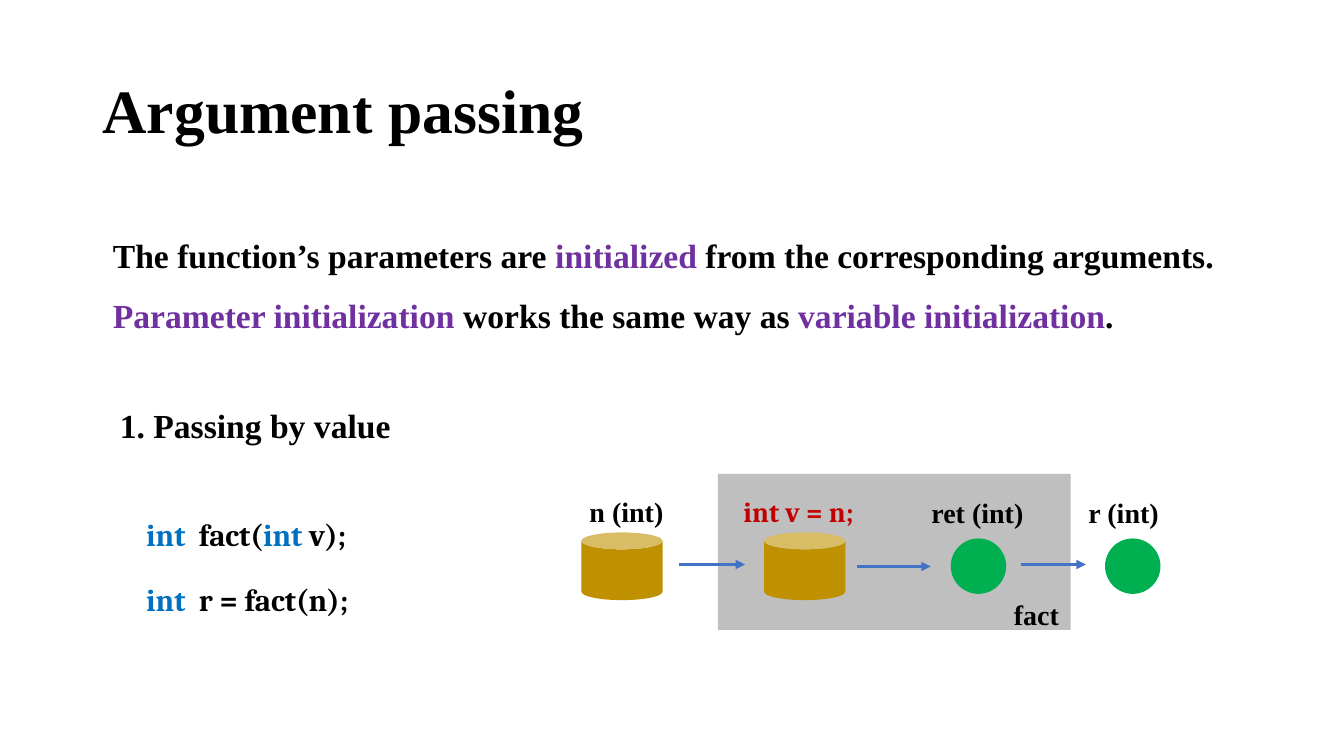
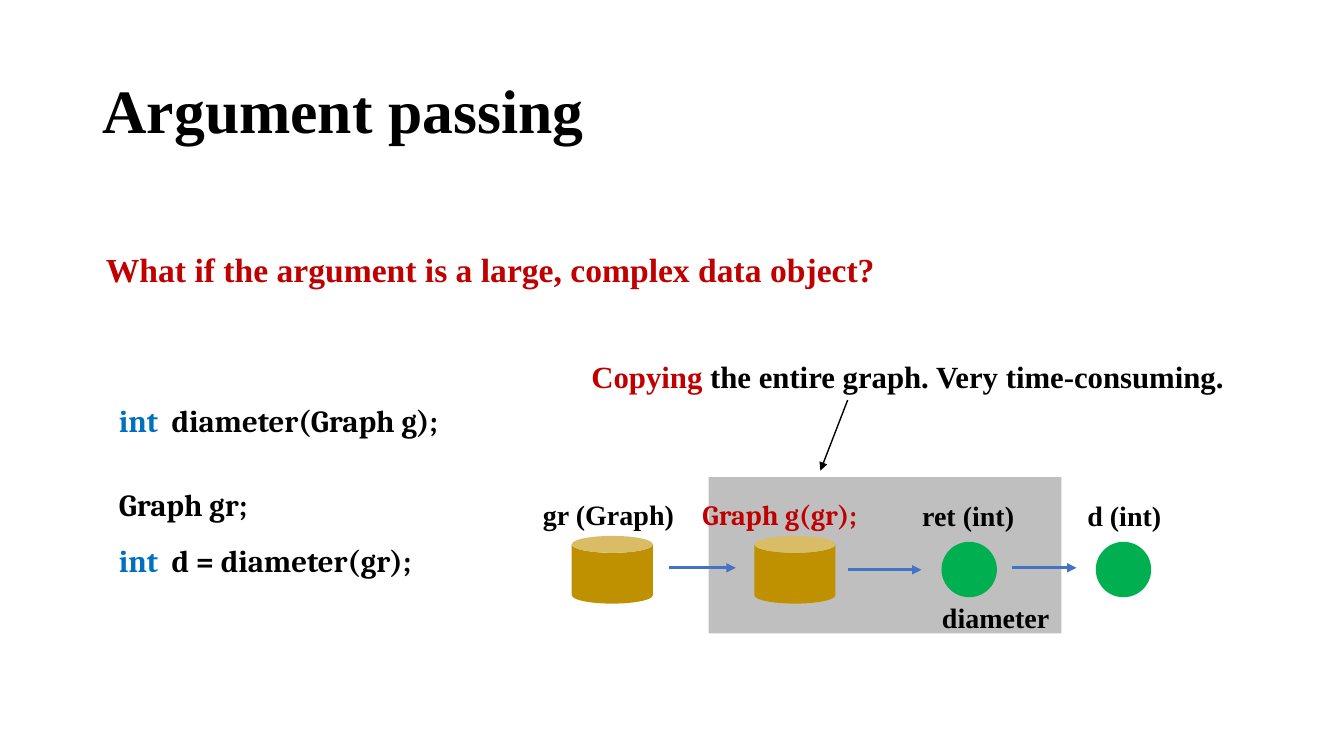
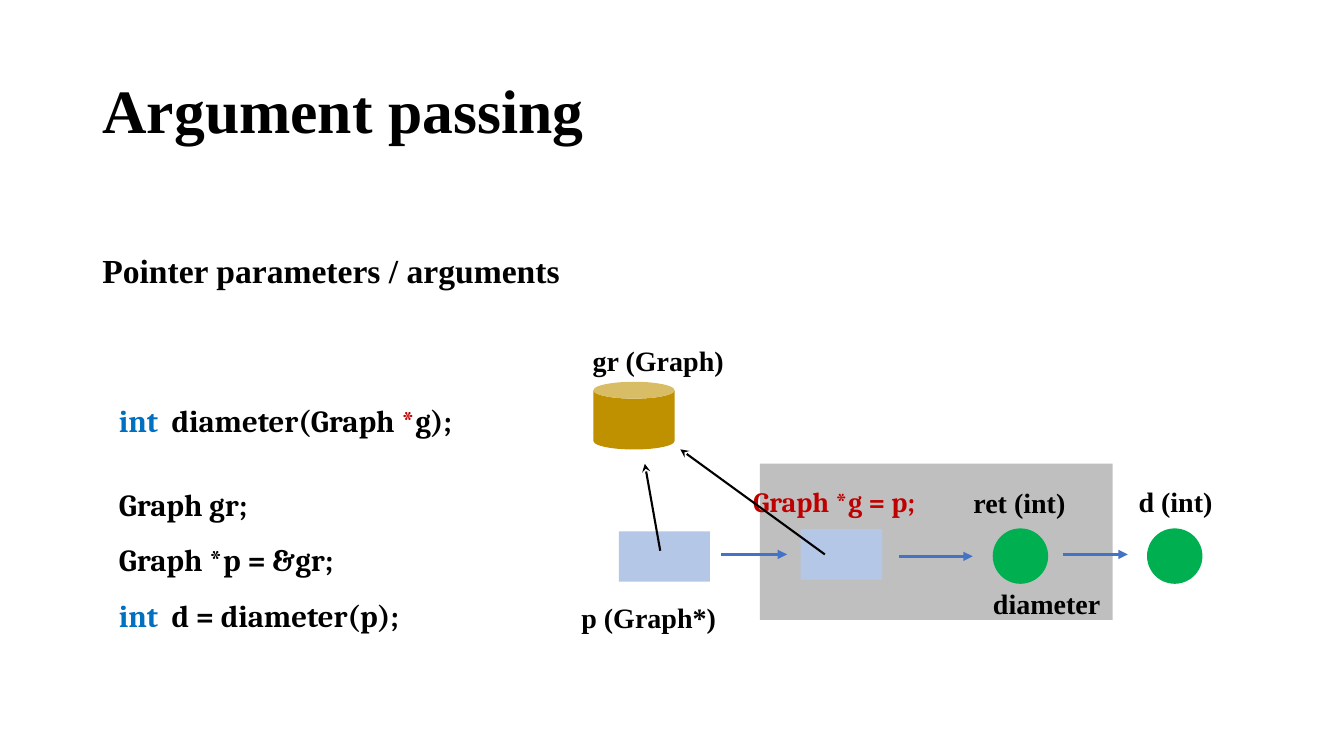
from dataclasses import dataclass

import lxml.etree
import pptx
import pptx.dml.color
import pptx.enum.shapes
import pptx.enum.text
import pptx.oxml
import pptx.oxml.ns
import pptx.slide
import pptx.util

Pt = pptx.util.Pt
RGBColor = pptx.dml.color.RGBColor
Kind = pptx.enum.shapes.MSO_SHAPE
Align = pptx.enum.text.PP_ALIGN

BLACK = RGBColor(0x00, 0x00, 0x00)
PURPLE = RGBColor(0x70, 0x30, 0xA0)
KEYWORD = RGBColor(0x00, 0x70, 0xC0)
RED = RGBColor(0xC0, 0x00, 0x00)
PANEL = RGBColor(0xBF, 0xBF, 0xBF)
GOLD = RGBColor(0xBF, 0x90, 0x00)
GREEN = RGBColor(0x00, 0xB0, 0x50)
POINTER = RGBColor(0xB4, 0xC7, 0xE7)
FLOW = RGBColor(0x44, 0x72, 0xC4)

SERIF = "Times New Roman"
CODE = "Cambria"
TITLE = "Argument passing"
TITLE_ONLY = 5
LABEL_HEIGHT = 39.6


@dataclass(frozen=True)
class Span:
    text: str
    color: RGBColor = BLACK


@dataclass(frozen=True)
class TextBlock:
    left: float
    top: float
    width: float
    height: float
    lines: list[list[Span]]
    size: float = 24
    font: str = SERIF


@dataclass(frozen=True)
class Figure:
    kind: Kind
    left: float
    top: float
    width: float
    height: float
    color: RGBColor


@dataclass(frozen=True)
class Arrow:
    start: tuple[float, float]
    end: tuple[float, float]
    color: RGBColor = BLACK
    weight: float = 1.5
    head: str = "triangle"


@dataclass(frozen=True)
class Label:
    text: str
    left: float
    width: float
    top: float = 0
    color: RGBColor = BLACK
    font: str = SERIF


@dataclass(frozen=True)
class Call:
    left: float
    top: float
    stores: list[Figure]
    labels: list[Label]


def add_text(page: pptx.slide.Slide, block: TextBlock) -> None:
    box = page.shapes.add_textbox(
        Pt(block.left), Pt(block.top), Pt(block.width), Pt(block.height)
    )
    frame = box.text_frame
    frame.word_wrap = True
    frame.auto_size = pptx.enum.text.MSO_AUTO_SIZE.SHAPE_TO_FIT_TEXT
    for index, line in enumerate(block.lines):
        para = frame.add_paragraph() if index else frame.paragraphs[0]
        para.alignment = Align.JUSTIFY
        para.line_spacing = 1.5
        for span in line:
            run = para.add_run()
            run.text = span.text
            run.font.name = block.font
            run.font.size = Pt(block.size)
            run.font.bold = True
            run.font.color.rgb = span.color


def add_figure(page: pptx.slide.Slide, figure: Figure) -> None:
    shape = page.shapes.add_shape(
        figure.kind,
        Pt(figure.left), Pt(figure.top), Pt(figure.width), Pt(figure.height),
    )
    shape.shadow.inherit = False
    shape.fill.solid()
    shape.fill.fore_color.rgb = figure.color
    shape.line.fill.background()


def add_arrow(page: pptx.slide.Slide, arrow: Arrow) -> None:
    connector = page.shapes.add_connector(
        pptx.enum.shapes.MSO_CONNECTOR.STRAIGHT,
        *(Pt(value) for value in arrow.start + arrow.end),
    )
    connector.line.color.rgb = arrow.color
    connector.line.width = Pt(arrow.weight)
    properties = connector._element.spPr
    outline = properties.find(pptx.oxml.ns.qn("a:ln"))
    tail = lxml.etree.SubElement(outline, pptx.oxml.ns.qn("a:tailEnd"))
    tail.set("type", arrow.head)
    lxml.etree.SubElement(properties, pptx.oxml.ns.qn("a:effectLst"))


def add_call(page: pptx.slide.Slide, call: Call) -> None:
    left, top = call.left, call.top
    add_figure(page, Figure(Kind.RECTANGLE, left, top, 252, 111.6, PANEL))
    for store in call.stores:
        add_figure(page, store)
    for offset in (166.3, 276.5):
        add_figure(
            page, Figure(Kind.OVAL, left + offset, top + 46.2, 39.6, 39.6, GREEN)
        )
    for start, end, drop in ((-28, 19.4, 64.8), (99.4, 152, 66.2), (216.6, 262.8, 64.8)):
        add_arrow(
            page,
            Arrow((left + start, top + drop), (left + end, top + drop), FLOW, 2.25),
        )
    for label in (*call.labels, Label("ret (int)", 145.4, 93.6)):
        add_text(
            page,
            TextBlock(
                left + label.left, top + label.top, label.width, LABEL_HEIGHT,
                [[Span(label.text, label.color)]], 20, label.font,
            ),
        )


def add_page(deck, blocks: list[TextBlock], call: Call, arrows: list[Arrow]) -> None:
    page = deck.slides.add_slide(deck.slide_layouts[TITLE_ONLY])
    title = page.shapes.title
    title.text_frame.text = TITLE
    para = title.text_frame.paragraphs[0]
    para.alignment = Align.LEFT
    para.line_spacing = 0.9
    para.font.name = SERIF
    para.font.size = Pt(44)
    para.font.bold = True
    para.font.color.rgb = BLACK
    for block in blocks:
        add_text(page, block)
    add_call(page, call)
    for arrow in arrows:
        add_arrow(page, arrow)


def place_title(deck) -> None:
    title = deck.slide_layouts[TITLE_ONLY].placeholders[0]
    title.left, title.top = Pt(66), Pt(28.8)
    title.width, title.height = Pt(828), Pt(104.4)
    title.text_frame.vertical_anchor = pptx.enum.text.MSO_ANCHOR.MIDDLE


def can(left: float, top: float) -> Figure:
    return Figure(Kind.CAN, left, top, 58, 48.4, GOLD)


def code(left: float, top: float, width: float, *lines: list[Span]) -> TextBlock:
    return TextBlock(left, top, width, 42.5 * len(lines), list(lines), 22, CODE)


def parameter(text: str, left: float, width: float) -> Label:
    return Label(text, left, width, -0.7, RED, CODE)


def main() -> None:
    deck = pptx.Presentation()
    deck.slide_width, deck.slide_height = Pt(960), Pt(540)
    place_title(deck)
    integer = Span("int", KEYWORD)

    add_page(
        deck,
        [
            TextBlock(73.6, 149.8, 806, 89.3, [
                [
                    Span("The function’s parameters are "),
                    Span("initialized", PURPLE),
                    Span(" from the corresponding arguments."),
                ],
                [
                    Span("Parameter initialization ", PURPLE),
                    Span("works the same way as "),
                    Span("variable initialization", PURPLE),
                    Span("."),
                ],
            ]),
            TextBlock(78.5, 271.4, 743, 45.4, [[Span("1. Passing by value")]]),
            code(97.4, 351.6, 200, [integer, Span("  fact("), integer, Span(" v);")]),
            code(97.4, 398, 225, [integer, Span("  r = fact(n);")]),
        ],
        Call(
            512.8, 338.4,
            [can(415.3, 380.3), can(545.8, 380.3)],
            [
                Label("n (int)", -98.8, 84.2, -0.7),
                parameter("int v = n;", 11.2, 113),
                Label("r (int)", 257.6, 72.7),
                Label("fact", 204.3, 67, 72.7),
            ],
        ),
        [],
    )

    add_page(
        deck,
        [
            TextBlock(68.6, 160, 651, 45.4, [
                [Span("What if the argument is a large, complex data object?", RED)],
            ]),
            code(77.8, 270, 280, [integer, Span("  diameter(Graph g);")]),
            code(
                77.8, 330.3, 279,
                [Span("Graph gr;")], [integer, Span("  d = diameter(gr);")],
            ),
            TextBlock(415.4, 239, 485, 42.5, [
                [
                    Span("Copying ", RED),
                    Span("the entire graph. Very time-consuming."),
                ],
            ], 22),
        ],
        Call(
            506.2, 340.8,
            [can(408.4, 382.8), can(538.8, 382.8)],
            [
                Label("gr (Graph)", -125.5, 111, -0.7),
                parameter("Graph g(gr);", -11.6, 138.2),
                Label("d (int)", 263.4, 72.7),
                Label("diameter", 159.6, 105, 72.7),
            ],
        ),
        [Arrow((605.5, 285.8), (586, 336.2), weight=1)],
    )

    add_page(
        deck,
        [
            TextBlock(66, 160.6, 395, 45.4, [[Span("Pointer parameters / arguments")]]),
            code(
                77.8, 270, 280,
                [integer, Span("  diameter(Graph "), Span("*", RED), Span("g);")],
            ),
            code(
                77.8, 330.3, 279,
                [Span("Graph gr;")],
                [Span("Graph *p = &gr;")],
                [integer, Span("  d = diameter(p);")],
            ),
        ],
        Call(
            542.8, 331.2,
            [
                can(423.9, 272.7),
                Figure(Kind.RECTANGLE, 442, 379.6, 65, 36, POINTER),
                Figure(Kind.RECTANGLE, 571.9, 378, 58.3, 36, POINTER),
            ],
            [
                Label("gr (Graph)", -126.6, 111, -101.5),
                Label("p (Graph*)", -134.6, 112.3, 82.1),
                parameter("Graph *g = p;", -12, 138.2),
                Label("d (int)", 263.4, 72.7, -0.7),
                Label("diameter", 159.4, 105, 72.3),
            ],
        ),
        [
            Arrow((471.6, 393.4), (460.6, 331.3), head="stealth"),
            Arrow((589.2, 396), (486, 321), head="stealth"),
        ],
    )

    deck.save("out.pptx")


if __name__ == "__main__":
    main()
